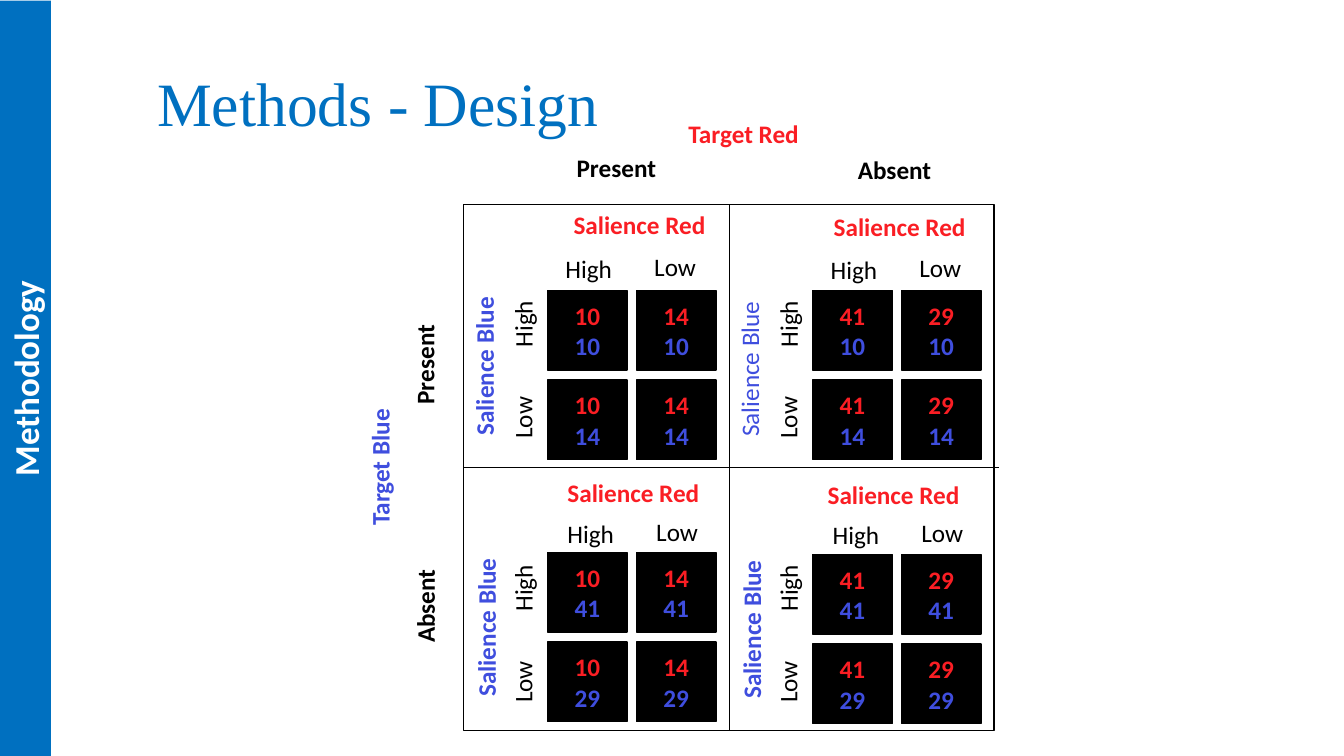
"""Build the Methods - Design slide: a 2 x 2 target grid of 2 x 2 salience cells."""
from dataclasses import dataclass
from itertools import product

from lxml.etree import SubElement
from pptx import Presentation
from pptx.dml.color import RGBColor
from pptx.enum.shapes import MSO_CONNECTOR, MSO_SHAPE
from pptx.enum.text import MSO_ANCHOR, MSO_AUTO_SIZE, PP_ALIGN
from pptx.oxml.ns import qn
from pptx.util import Pt


@dataclass(frozen=True)
class Theme:
    accent: RGBColor = RGBColor.from_string("0070C0")
    red: RGBColor = RGBColor.from_string("FA1E24")
    blue: RGBColor = RGBColor.from_string("3F4EDE")
    black: RGBColor = RGBColor.from_string("000000")
    white: RGBColor = RGBColor.from_string("FFFFFF")
    body_font: str = "Calibri"
    title_font: str = "Times New Roman"
    body_size: int = 18
    section_size: int = 25
    title_size: int = 44


theme = Theme()
PX = 9144

deck = Presentation()
deck.slide_width, deck.slide_height = 1333 * PX, 750 * PX
slide = deck.slides.add_slide(deck.slide_layouts[6])
shapes = slide.shapes


def add_run(paragraph, text, color, size=theme.body_size, bold=False, font=theme.body_font):
    run = paragraph.add_run()
    run.text = text
    run.font.name = font
    run.font.size = Pt(size)
    run.font.bold = bold
    run.font.color.rgb = color


def add_label(text, center_x, center_y, width, color=theme.black, bold=False, rotation=0):
    label = shapes.add_textbox(
        (center_x - width // 2) * PX, (center_y - 20) * PX, width * PX, 40 * PX
    )
    label.rotation = rotation
    label.text_frame.word_wrap = False
    label.text_frame.auto_size = MSO_AUTO_SIZE.SHAPE_TO_FIT_TEXT
    add_run(label.text_frame.paragraphs[0], text, color, bold=bold)


section = shapes.add_shape(MSO_SHAPE.RECTANGLE, -350 * PX, 350 * PX, 750 * PX, 51 * PX)
section.rotation = 270
section.shadow.inherit = False
section.fill.solid()
section.fill.fore_color.rgb = theme.accent
section.line.fill.background()
section.text_frame.vertical_anchor = MSO_ANCHOR.MIDDLE
section.text_frame.paragraphs[0].alignment = PP_ALIGN.CENTER
add_run(section.text_frame.paragraphs[0], "Methodology", theme.white, theme.section_size, True)

frame = shapes.add_shape(MSO_SHAPE.RECTANGLE, 460 * PX, 203 * PX, 526 * PX, 522 * PX)
frame.shadow.inherit = False
frame.fill.background()
frame.line.color.rgb = theme.black
frame.line.width = Pt(1)

column_divider = shapes.add_connector(
    MSO_CONNECTOR.STRAIGHT, 723 * PX, 203 * PX, 723 * PX, 725 * PX
)
column_divider.begin_connect(frame, 0)
column_divider.end_connect(frame, 2)
row_divider = shapes.add_connector(
    MSO_CONNECTOR.STRAIGHT, 460 * PX, 464 * PX, 991 * PX, 464 * PX
)
row_divider.begin_connect(frame, 1)
for divider in (column_divider, row_divider):
    divider.line.color.rgb = theme.black
    divider.line.width = Pt(0.5)
    SubElement(divider.line._ln.getparent(), qn("a:effectLst"))

add_label("Target Red", 738, 132, 130, theme.red, True)
add_label("Present", 612, 166, 100, bold=True)
add_label("Absent", 887, 168, 93, bold=True)
add_label("Target Blue", 376, 463, 137, theme.blue, True, 270)
add_label("Present", 421, 359, 104, bold=True, rotation=270)
add_label("Absent", 421, 601, 93, bold=True, rotation=270)

red_values = (("10", "14"), ("41", "29"))
blue_values = (("10", "14"), ("41", "29"))

for row, column in product(range(2), repeat=2):
    left, top = 263 * column, 262 * row
    blue_is_bold = (row, column) != (0, 1)
    add_label("Salience Red", 635 + 258 * column - 6 * row,
              223 + 266 * row + 2 * column, 152, theme.red, True)
    add_label("Salience Blue", 480 + left + 2 * row, 363 + 259 * row + 2 * column,
              158 if blue_is_bold else 156, theme.blue, blue_is_bold, 270)
    add_label("High", 584 + left + 2 * row, 266 + 263 * row + column, 67)
    add_label("Low", 670 + left + 2 * row, 264 + 263 * row + column, 62)
    add_label("High", 518 + left, 321 + top, 67, rotation=270)
    add_label("Low", 518 + left, 414 + top, 62, rotation=270)

    for cell_row, cell_column in product(range(2), repeat=2):
        cell = shapes.add_shape(
            MSO_SHAPE.RECTANGLE, (543 + left + 88 * cell_column) * PX,
            (288 + 260 * row + 2 * row * column + 89 * cell_row) * PX, 79 * PX, 79 * PX
        )
        cell.shadow.inherit = False
        cell.fill.solid()
        cell.fill.fore_color.rgb = theme.black
        cell.line.color.rgb = theme.black
        cell.line.width = Pt(1)
        cell.text_frame.vertical_anchor = MSO_ANCHOR.MIDDLE
        red_line = cell.text_frame.paragraphs[0]
        blue_line = cell.text_frame.add_paragraph()
        red_line.alignment = blue_line.alignment = PP_ALIGN.CENTER
        add_run(red_line, red_values[column][cell_column], theme.red, bold=True)
        add_run(blue_line, blue_values[row][cell_row], theme.blue, bold=True)

title = shapes.add_textbox(146 * PX, 60 * PX, 1079 * PX, 84 * PX)
title.text_frame.word_wrap = True
title.text_frame.auto_size = MSO_AUTO_SIZE.SHAPE_TO_FIT_TEXT
add_run(title.text_frame.paragraphs[0], "Methods - Design", theme.accent,
        theme.title_size, font=theme.title_font)

deck.save("out.pptx")
